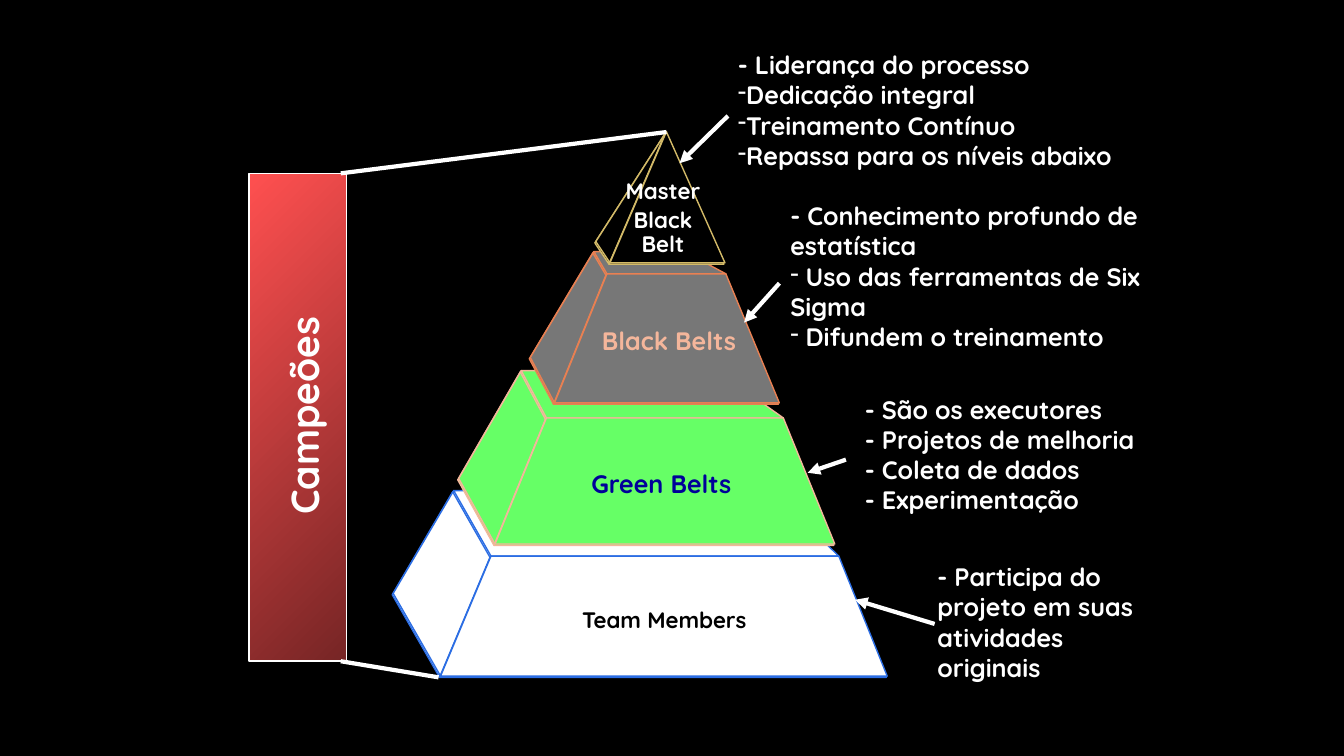
"""Build the belt pyramid slide with its champions bar and role notes."""
from dataclasses import dataclass
from lxml import etree
from pptx import Presentation, util as u
from pptx.dml.color import RGBColor
from pptx.enum import shapes, text
from pptx.oxml import ns


@dataclass(frozen=True)
class Theme:
    font: str = "Quicksand"
    back: str = "000000"
    ink: str = "FFFFFF"
    navy: str = "000099"
    peach: str = "F4B69B"
    red: str = "FF5050"
    wine: str = "762525"
    label: int = 16
    body: int = 18
    title: int = 28
    thin: int = 1
    thick: int = 3


LOOK = Theme()
COLS, ROWS = 1333, 750
CELL = u.Inches(0.01)
STEP = (1, -1.3)

TIERS = [
    dict(fill="FFFFFF", line="2B6DE3", low=(436, 879, 672), high=(486, 831, 553),
         rear=(449, 763, 488), left=(389, 590)),
    dict(fill="66FF66", line="F4B69B", low=(490, 827, 541), high=(541, 776, 416),
         rear=(516, 710, 369), left=(454, 476)),
    dict(fill="777777", line="E98052", low=(549, 772, 401), high=(601, 719, 273),
         rear=(588, 678, 251), left=(525, 356)),
    dict(fill="000000", line="D3BA68", low=(604, 718, 262), high=(660, 660, 132),
         rear=None, left=(590, 241)),
]
LABELS = [
    ((603, 173, 109, 88), ["Master", "Black Belt"], LOOK.label, LOOK.ink, True),
    ((586, 321, 155, 37), ["Black Belts"], LOOK.body, LOOK.peach, False),
    ((576, 463, 160, 37), ["Green Belts"], LOOK.body, LOOK.navy, False),
    ((565, 599, 188, 34), ["Team Members"], LOOK.label, LOOK.back, False),
]
BAR = (247, 172, 97, 484)
TITLE = (68, 384, 468, 57)
EDGES = [((338, 172), (661, 131)), ((338, 656), (435, 672))]
ARROWS = [((773, 281), (738, 320)), ((722, 115), (674, 162)),
          ((839, 456), (801, 469)), ((927, 619), (848, 595))]
NOTES = [
    ((774, 194, 380, 187), ["- Conhecimento profundo de estatística",
                            " Uso das ferramentas de Six Sigma",
                            " Difundem o treinamento"], True, True),
    ((920, 552, 220, 130),
     ["- Participa do projeto em suas atividades originais"], False, True),
    ((848, 386, 315, 130), ["- São os executores", "- Projetos de melhoria",
                            "- Coleta de dados", "- Experimentação"], False, True),
    ((722, 44, 400, 192), ["- Liderança do processo", "Dedicação integral",
                           "Treinamento Contínuo",
                           "Repassa para os níveis abaixo"], True, False),
]


def grid(*nums):
    return [round(n * CELL) for n in nums]


def rgb(code):
    return RGBColor.from_string(code)


def write(slide, spot, lines, size=LOOK.body, color=LOOK.ink, wrap=True,
          label=False, center=False, dash=False, turn=0):
    box = slide.shapes.add_textbox(*grid(*spot))
    box.rotation = turn
    frame = box.text_frame
    frame.word_wrap = wrap
    if label:
        frame.vertical_anchor = text.MSO_ANCHOR.MIDDLE
    for i, line in enumerate(lines):
        para = frame.paragraphs[0] if i == 0 else frame.add_paragraph()
        run = para.add_run()
        run.text = line
        font = run.font
        font.name, font.size, font.bold = LOOK.font, u.Pt(size), True
        font.color.rgb = rgb(color)
        if center:
            para.alignment = text.PP_ALIGN.CENTER
        if label:
            para.line_spacing = 0.9
            para.space_after = u.Pt(size * 0.2)
        if dash and i:
            props = para._p.get_or_add_pPr()
            etree.SubElement(props, ns.qn("a:buChar")).set("char", "-")


def face(group, points, tier):
    start, *rest = [tuple(grid(*p)) for p in points]
    pen = group.shapes.build_freeform(*start)
    pen.add_line_segments(rest, close=True)
    shape = pen.convert_to_shape()
    shape.shadow.inherit = False
    shape.fill.solid()
    shape.fill.fore_color.rgb = rgb(tier["fill"])
    shape.line.color.rgb = rgb(tier["line"])
    shape.line.width = u.Pt(LOOK.thin)


def stack(slide, tier):
    (la, lb, ly), (ha, hb, hy) = tier["low"], tier["high"]
    base = [(lb, ly), (la, ly)]
    crest = [(ha, hy), (hb, hy)] if ha != hb else [(ha, hy)]
    side = [(la, ly), tier["left"]]
    faces = [side + [(ha, hy)], base + crest]
    if tier["rear"]:
        ra, rb, ry = tier["rear"]
        faces = [side + [(ra, ry), (ha, hy)],
                 [(hb, hy), (ha, hy), (ra, ry), (rb, ry)], base + crest]
    group = slide.shapes.add_group_shape()
    for points in faces:
        for k in (0, 1):
            face(group, [(x + k * STEP[0], y + k * STEP[1]) for x, y in points], tier)


def link(slide, start, end, head=False):
    line = slide.shapes.add_connector(shapes.MSO_CONNECTOR.STRAIGHT,
                                      *grid(*start, *end))
    line.line.color.rgb = rgb(LOOK.ink)
    line.line.width = u.Pt(LOOK.thick)
    if head:
        tip = etree.SubElement(line.line._get_or_add_ln(), ns.qn("a:tailEnd"))
        tip.set("type", "triangle")
    etree.SubElement(line._element.spPr, ns.qn("a:effectLst"))


def banner(slide):
    bar = slide.shapes.add_shape(shapes.MSO_SHAPE.RECTANGLE, *grid(*BAR))
    bar.shadow.inherit = False
    bar.fill.gradient()
    bar.fill.gradient_angle = 315
    for stop, code, place in zip(bar.fill.gradient_stops, (LOOK.red, LOOK.wine), (0, 1)):
        stop.color.rgb = rgb(code)
        stop.position = place
    bar.line.color.rgb = rgb(LOOK.ink)
    bar.line.width = u.Pt(LOOK.thin)
    write(slide, TITLE, ["Campeões"], size=LOOK.title, center=True, turn=270)


def main():
    deck = Presentation()
    deck.slide_width, deck.slide_height = grid(COLS, ROWS)
    slide = deck.slides.add_slide(deck.slide_layouts[6])
    slide.background.fill.solid()
    slide.background.fill.fore_color.rgb = rgb(LOOK.back)
    for tier in TIERS:
        stack(slide, tier)
    for spot, lines, size, color, wrap in LABELS:
        write(slide, spot, lines, size=size, color=color, wrap=wrap,
              label=True, center=True)
    banner(slide)
    for start, end in EDGES:
        link(slide, start, end)
    for start, end in ARROWS:
        link(slide, start, end, head=True)
    for spot, lines, dash, wrap in NOTES:
        write(slide, spot, lines, dash=dash, wrap=wrap)
    deck.save("out.pptx")


if __name__ == "__main__":
    main()
